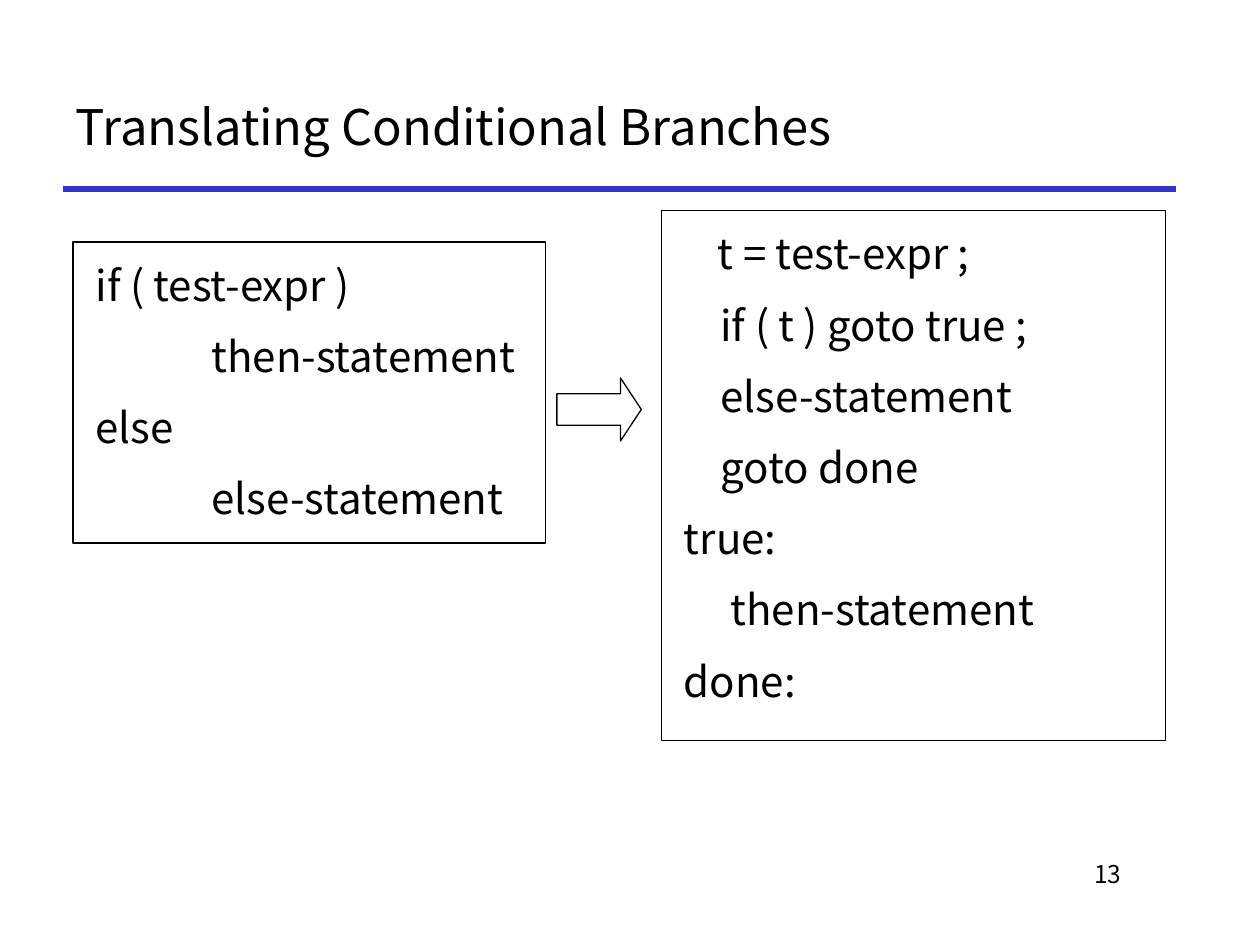
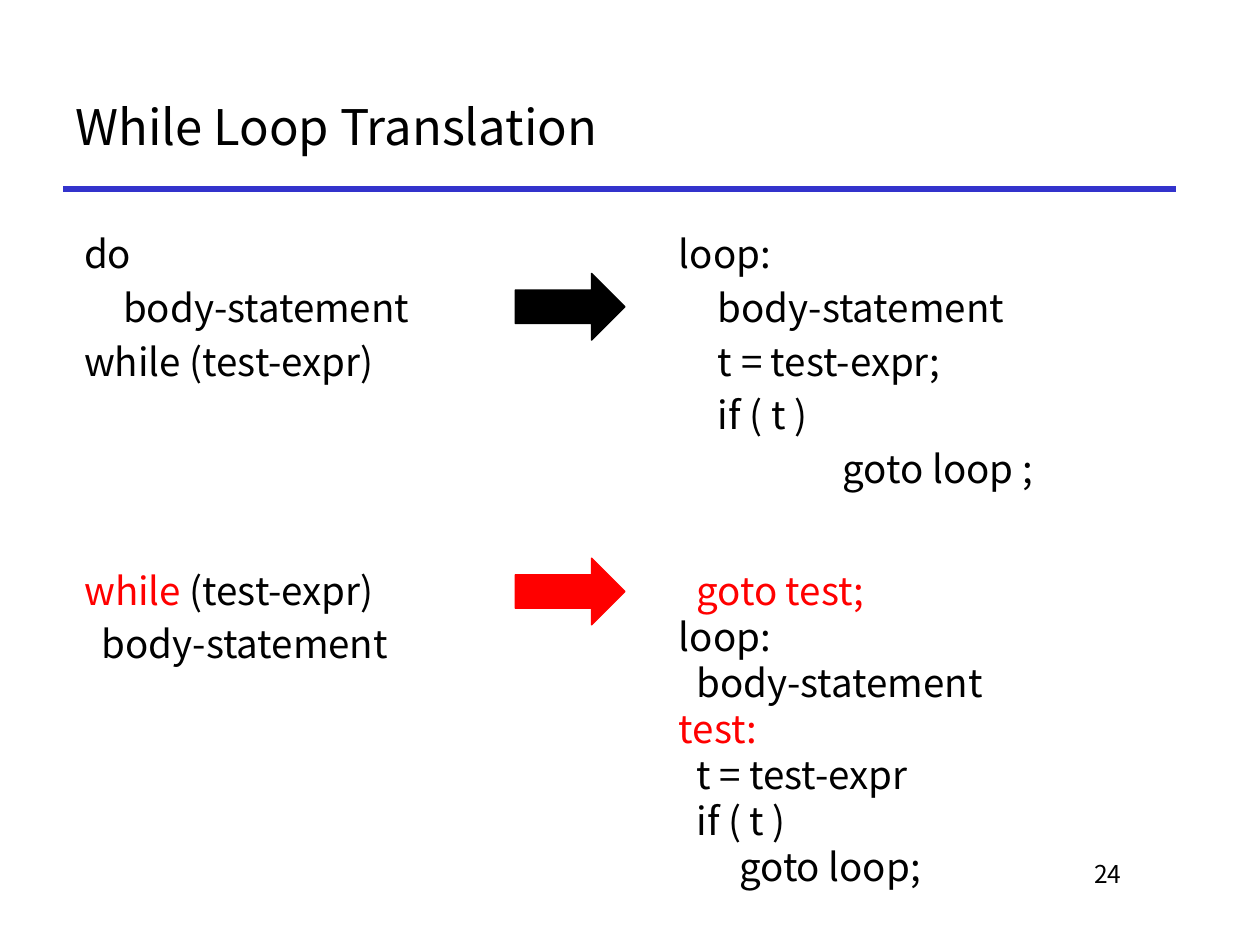
import pptx
import pptx.dml.color
import pptx.enum.shapes
import pptx.enum.text
import pptx.oxml.ns
import pptx.util
from lxml import etree

Inches, Pt = pptx.util.Inches, pptx.util.Pt
SHAPE = pptx.enum.shapes.MSO_SHAPE
ALIGN = pptx.enum.text.PP_ALIGN
ANCHOR = pptx.enum.text.MSO_ANCHOR

FONT = "Noto Sans CJK KR"
COLORS = {k: pptx.dml.color.RGBColor.from_string(v) for k, v in
          {"text": "000000", "rule": "3333CC", "accent": "FF0000"}.items()}
LINE_HEIGHT = 1.195  # line pitch as a share of the font size


def write_lines(sp, lines, size, gap, top, align=ALIGN.LEFT):
    """Fill a shape with lines given as (indent, accent text, plain text)."""
    tf = sp.text_frame
    tf.word_wrap = True
    tf.vertical_anchor = ANCHOR.TOP
    tf.margin_top = Inches(top)
    for i, (indent, accent, plain) in enumerate(lines):
        p = tf.paragraphs[0] if i == 0 else tf.add_paragraph()
        p._p.get_or_add_pPr().set("marL", str(Inches(indent)))
        p.alignment = align
        p.line_spacing = Pt(size * LINE_HEIGHT)
        p.space_before = Pt(gap if i else 0)
        p.font.name, p.font.size = FONT, Pt(size)
        for text, color in ((accent, "accent"), (plain, "text")):
            if text:
                r = p.add_run()
                r.text = text
                r.font.color.rgb = COLORS[color]


def add_outlined(slide, kind, box, line, fill=None):
    """Add a thinly outlined shape, hollow unless a fill is named."""
    sp = slide.shapes.add_shape(kind, *map(Inches, box))
    sp.shadow.inherit = False
    sp.line.color.rgb = COLORS[line]
    sp.line.width = Pt(0.75)
    if fill:
        sp.fill.solid()
        sp.fill.fore_color.rgb = COLORS[fill]
    else:
        sp.fill.background()
    return sp


prs = pptx.Presentation()
prs.slide_width, prs.slide_height = Inches(10), Inches(7.5)

# Shared frame: title, rule and page number
slides = []
for title, number in (("Translating Conditional Branches", "13"),
                      ("While Loop Translation", "24")):
    s = prs.slides.add_slide(prs.slide_layouts[5])
    sp = s.shapes.title
    sp.left, sp.top, sp.width, sp.height = map(Inches, (0.5, 0.5, 8.83, 1))
    tf = sp.text_frame
    tf.text = title
    tf.vertical_anchor = ANCHOR.MIDDLE
    p = tf.paragraphs[0]
    p.alignment = ALIGN.LEFT
    p.font.name, p.font.size = FONT, Pt(28)
    p.font.color.rgb = COLORS["text"]

    rule = s.shapes.add_connector(pptx.enum.shapes.MSO_CONNECTOR.STRAIGHT,
                                  Inches(0.5), Inches(1.5), Inches(9.33), Inches(1.5))
    rule.line.color.rgb = COLORS["rule"]
    rule.line.width = Pt(3)
    etree.SubElement(rule._element.spPr, pptx.oxml.ns.qn("a:effectLst"))

    sp = s.shapes.add_textbox(*map(Inches, (7.58, 6.75, 1.42, 0.5)))
    write_lines(sp, [(0, "", number)], 14, 0, 0.07, ALIGN.RIGHT)
    slides.append(s)

branches, loops = slides

# Conditional branches: source and goto form in boxes
if_else = [(0.08, "", "if ( test-expr )"), (1, "", "then-statement"),
           (0.08, "", "else"), (1, "", "else-statement")]
if_goto = [(0.35, "", "t = test-expr ;"), (0.37, "", "if ( t ) goto true ;"),
           (0.37, "", "else-statement"), (0.37, "", "goto done"),
           (0.08, "", "true:"), (0.45, "", "then-statement"), (0.08, "", "done:")]
for box, lines in (((0.58, 1.92, 3.75, 2.39), if_else),
                   ((5.25, 1.67, 4, 4.21), if_goto)):
    sp = add_outlined(branches, SHAPE.RECTANGLE, box, "text")
    write_lines(sp, lines, 24, 12, 0.14)
sp = add_outlined(branches, SHAPE.RIGHT_ARROW, (4.42, 3, 0.67, 0.5), "text")
sp.adjustments[1] = 0.33

# Loops: do-while on top, while below
do_while = [(0.07, "", "do"), (0.38, "", "body-statement"),
            (0.07, "", "while (test-expr)")]
do_goto = [(0.07, "", "loop:"), (0.38, "", "body-statement"),
           (0.38, "", "t = test-expr;"), (0.38, "", "if ( t )"),
           (1.37, "", "goto loop ;")]
while_loop = [(0.07, "while", " (test-expr)"), (0.21, "", "body-statement")]
while_goto = [(0.21, "goto test;", ""), (0.07, "", "loop:"),
              (0.21, "", "body-statement"), (0.07, "test:", ""),
              (0.21, "", "t = test-expr"), (0.21, "", "if ( t )"),
              (0.55, "", "goto loop;")]
for box, lines, gap in (((0.5, 1.75, 3.33, 1.75), do_while, 4.4),
                        ((5.22, 1.75, 3.33, 2.42), do_goto, 4.4),
                        ((0.5, 4.42, 3.75, 1.25), while_loop, 4.4),
                        ((5.22, 4.42, 4.25, 2.69), while_goto, 0)):
    sp = loops.shapes.add_textbox(*map(Inches, box))
    write_lines(sp, lines, 22, gap, 0.08)
for top, color in ((2.17, "text"), (4.43, "accent")):
    add_outlined(loops, SHAPE.RIGHT_ARROW, (4.09, top, 0.87, 0.53), color, color)

prs.save("out.pptx")
